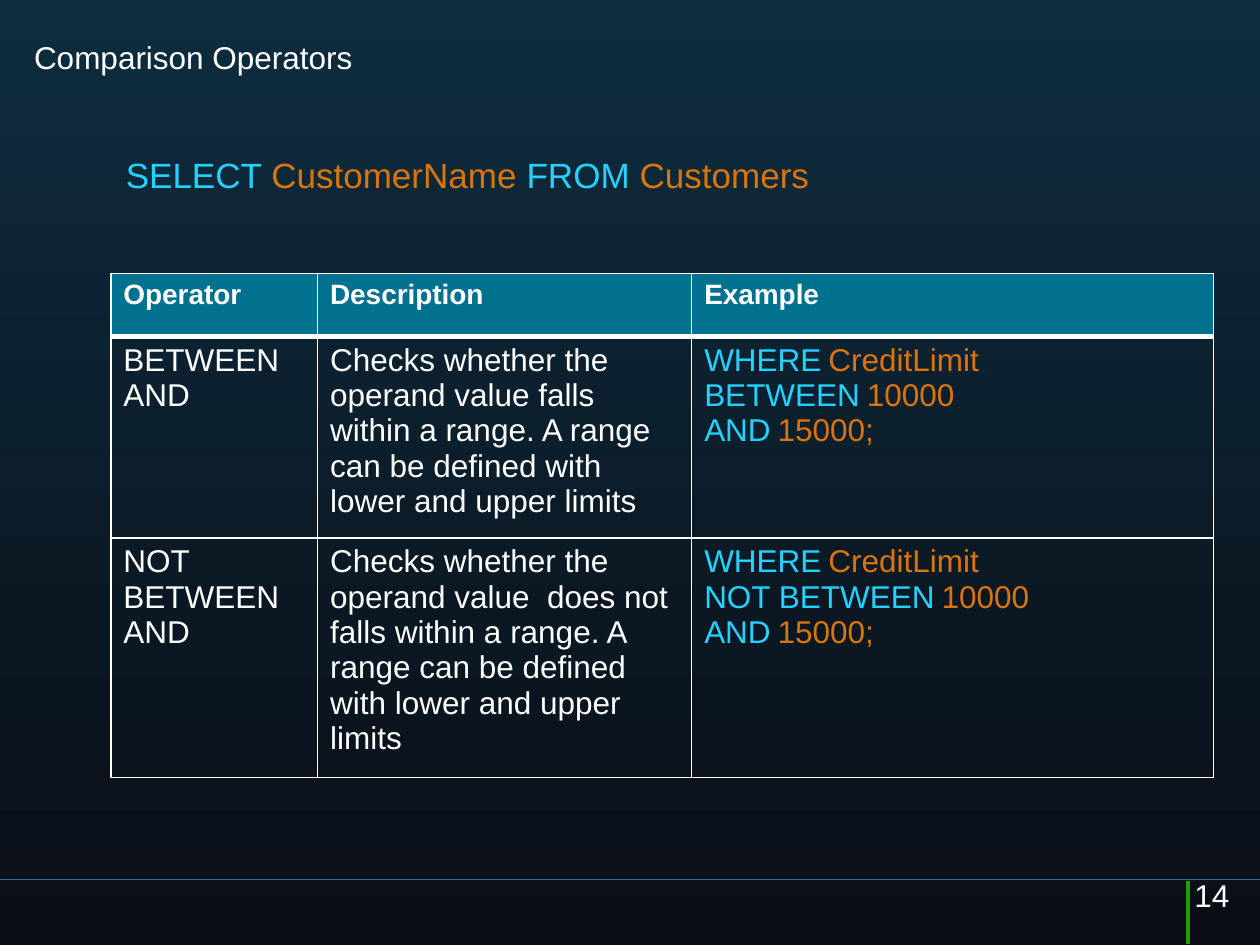
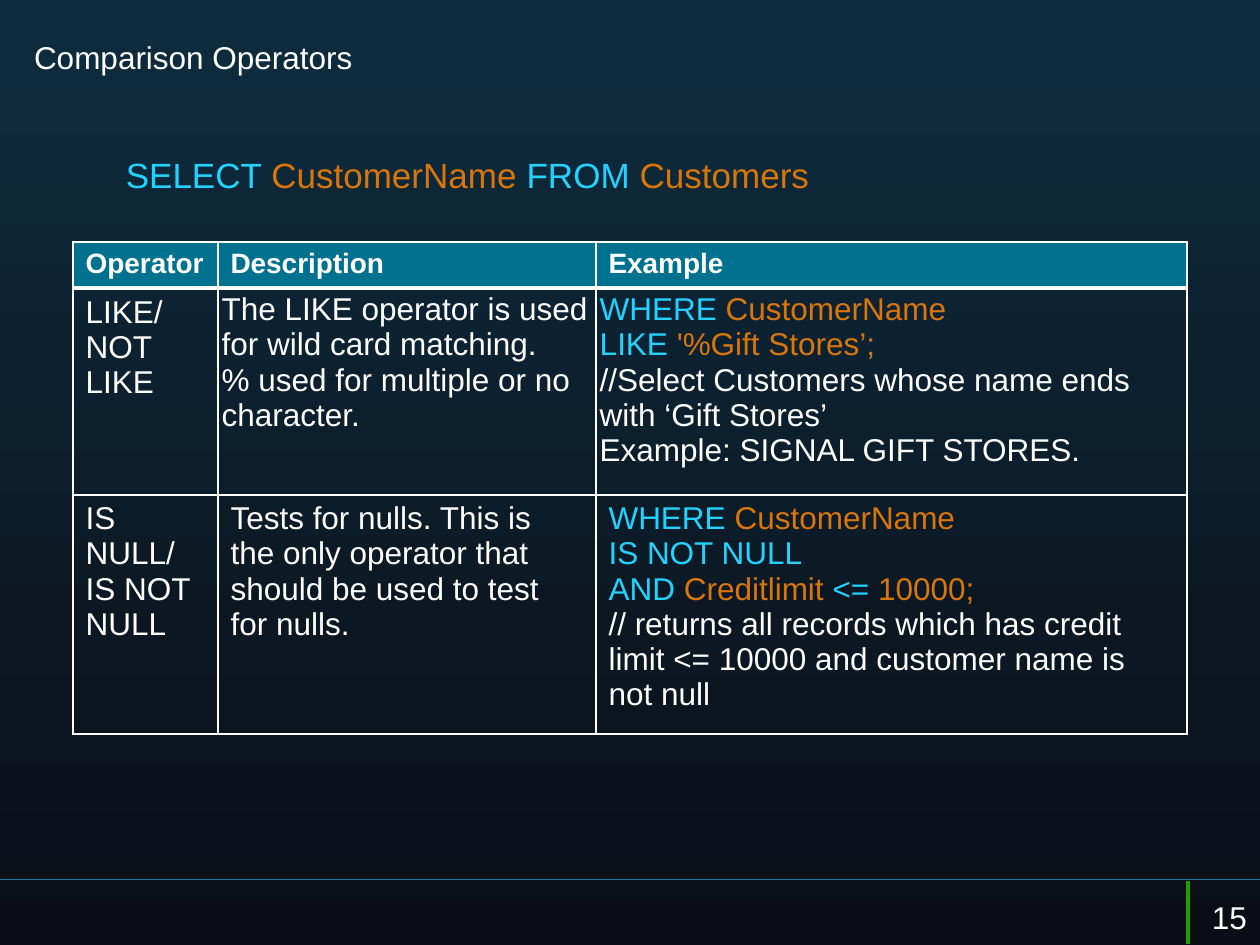
import lxml.etree
import pptx
import pptx.dml.color
import pptx.enum.dml
import pptx.enum.shapes
import pptx.enum.text
import pptx.oxml.ns
import pptx.util

COLS, ROWS = 100, 75
TITLE = "Comparison Operators"
HEADS = ["Operator", "Description", "Example"]


def tint(code):
    """Turn a hex string into a colour."""
    return pptx.dml.color.RGBColor.from_string(code)


def node(home, tag, **atts):
    """Add a drawing element with its attributes."""
    name = pptx.oxml.ns.qn("a:" + tag)
    return lxml.etree.SubElement(home, name, **atts)


def key(text):
    """Make a run for an SQL keyword."""
    return text, "23D2FF", 18


def name(text):
    """Make a run for a column, a table or a value."""
    return text, "D8750D", 18


def note(text, size=18):
    """Make a run of plain text."""
    return text, "FFFFFF", size


GAP = note(" ", 14)


class Deck:
    """Hold the style and the current slide."""

    font = "Arial"
    white = "FFFFFF"
    band = "00728F"
    rule = "287094"
    mark = "209D03"
    sky = ["0E2D3F", "0A0D16"]

    def __init__(self):
        """Open a deck and paint the shared background."""
        self.prs = pptx.Presentation()
        self.prs.slide_width = pptx.util.Inches(10)
        self.prs.slide_height = pptx.util.Inches(7.5)
        fill = self.prs.slide_master.background.fill
        fill.gradient()
        fill.gradient_angle = 270
        for stop, code in zip(fill.gradient_stops, self.sky):
            stop.color.rgb = tint(code)

    def wide(self, cols):
        """Convert grid columns to a length."""
        return int(self.prs.slide_width * cols / COLS)

    def high(self, rows):
        """Convert grid rows to a length."""
        return int(self.prs.slide_height * rows / ROWS)

    def box(self, x, y, w, h):
        """Convert a grid box to lengths."""
        return self.wide(x), self.high(y), self.wide(w), self.high(h)

    def put(self, frame, lines, bold=False):
        """Fill a text frame with lines of runs."""
        for i, line in enumerate(lines):
            para = frame.add_paragraph() if i else frame.paragraphs[0]
            para.alignment = pptx.enum.text.PP_ALIGN.LEFT
            for text, code, size in line:
                run = para.add_run()
                run.text = text
                run.font.name = self.font
                run.font.size = pptx.util.Pt(size)
                run.font.bold = bold
                run.font.color.rgb = tint(code)

    def line(self, x1, y1, x2, y2, code, width):
        """Draw a straight line."""
        line = self.slide.shapes.add_connector(
            pptx.enum.shapes.MSO_CONNECTOR.STRAIGHT,
            self.wide(x1), self.high(y1), self.wide(x2), self.high(y2))
        line.line.color.rgb = tint(code)
        line.line.width = pptx.util.Pt(width)
        node(line._element.spPr, "effectLst")

    def text(self, x, y, w, h, runs):
        """Add a one-line text box."""
        frame = self.slide.shapes.add_textbox(*self.box(x, y, w, h)).text_frame
        frame.word_wrap = False
        frame.auto_size = pptx.enum.text.MSO_AUTO_SIZE.SHAPE_TO_FIT_TEXT
        self.put(frame, [runs])

    def title(self, text):
        """Place and fill the title placeholder."""
        shape = self.slide.shapes.title
        shape.left, shape.top, shape.width, shape.height = self.box(1.7, 2.5, 98.3, 3.3)
        frame = shape.text_frame
        frame.vertical_anchor = pptx.enum.text.MSO_ANCHOR.TOP
        frame.auto_size = pptx.enum.text.MSO_AUTO_SIZE.NONE
        self.put(frame, [[note(text)]])

    def page(self, num, x, y):
        """Start a slide with title, query, rules and number."""
        self.slide = self.prs.slides.add_slide(self.prs.slide_layouts[5])
        self.line(COLS, 69.8, 0, 69.8, self.rule, 0.75)
        self.line(94.3, 69.9, 94.3, 74.9, self.mark, 2)
        self.title(TITLE)
        query = [key("SELECT "), name("CustomerName "), key("FROM "), name("Customers")]
        self.text(9, 11.7, 56.7, 4.4, [(text, code, 20) for text, code, _ in query])
        self.text(x, y, 4.8, 4, [note(str(num))])

    def edge(self, cell, row):
        """Rule the four sides of a cell, thick under the header."""
        props = cell._tc.get_or_add_tcPr()
        thick = {0: "B", 1: "T"}.get(row)
        for i, side in enumerate("LRTB"):
            width = pptx.util.Pt(3 if side == thick else 1)
            line = node(props, "ln" + side, w=str(int(width)))
            node(node(line, "solidFill"), "srgbClr", val=self.white)
            props.insert(i, line)

    def table(self, x, y, cols, rows, body, tight=()):
        """Add a table; tight lists cells with thin margins."""
        heads = [[[note(text, 16)]] for text in HEADS]
        cells = [heads] + body
        spot = self.box(x, y, sum(cols), sum(rows))
        table = self.slide.shapes.add_table(len(rows), len(cols), *spot).table
        table.horz_banding = False
        for col, size in zip(table.columns, cols):
            col.width = self.wide(size)
        for r, size in enumerate(rows):
            table.rows[r].height = self.high(size)
            for c, lines in enumerate(cells[r]):
                cell = table.cell(r, c)
                if r:
                    cell.fill.background()
                else:
                    cell.fill.solid()
                    cell.fill.fore_color.rgb = tint(self.band)
                if (r, c) in tight:
                    cell.margin_left = cell.margin_right = self.wide(0.3)
                    cell.margin_top = cell.margin_bottom = self.high(0.3)
                self.edge(cell, r)
                self.put(cell.text_frame, lines, bold=not r)


def span(test):
    """Make the example lines of a range test."""
    return [[key("WHERE"), GAP, name("CreditLimit")],
            [key(test), GAP, name("10000")],
            [key("AND"), GAP, name("15000;")]]


def scope(verb):
    """Make the description of a range test."""
    return [[note(f"Checks whether the operand value {verb} within a range. "
                  "A range can be defined with lower and upper limits")]]


deck = Deck()
where = [key("WHERE "), name("CustomerName")]

deck.page(14, 93.8, 69)
deck.table(8.8, 21.7, [16.4, 29.7, 41.4], [5, 16, 19], [
    [[[note("BETWEEN AND")]], scope("falls"), span("BETWEEN")],
    [[[note("NOT BETWEEN AND")]], scope(" does not falls"), span("NOT BETWEEN")],
])

deck.page(15, 95.2, 70.8)
deck.table(5.8, 19.2, [11.5, 30, 46.9], [3.4, 16.4, 18], [
    [[[note("LIKE/NOT LIKE")]],
     [[note("The LIKE operator is used for wild card matching.")],
      [note("% used for multiple or no character.")]],
     [where,
      [key("LIKE "), name("'%Gift Stores’;")],
      [note("//Select Customers whose name ends with ‘Gift Stores’")],
      [note("Example: SIGNAL GIFT STORES.")]]],
    [[[note("IS NULL/")], [note("IS NOT NULL")]],
     [[note("Tests for nulls. This is the only operator that "
            "should be used to test for nulls.")]],
     [where,
      [key("IS NOT NULL")],
      [key("AND "), name("Creditlimit "), key("<= "), name("10000;")],
      [note("// returns all records which has credit limit <= 10000 "
            "and customer name is not null")]]],
], tight=[(1, 1), (1, 2)])

deck.prs.save("out.pptx")
